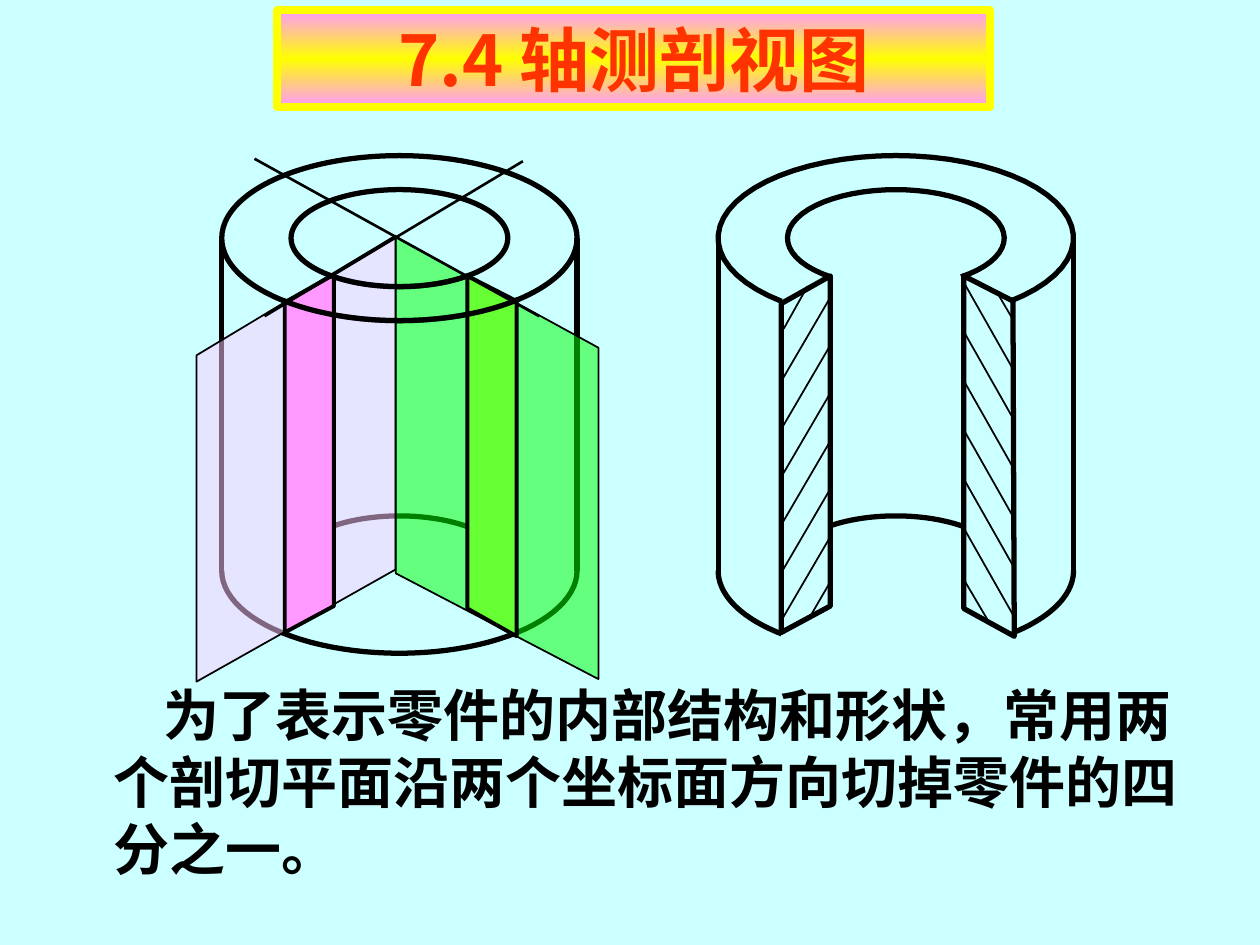
from math import cos, radians, sin

from lxml import etree
from pptx import Presentation
from pptx.dml.color import RGBColor
from pptx.enum.shapes import MSO_CONNECTOR, MSO_SHAPE
from pptx.enum.text import MSO_ANCHOR, PP_ALIGN
from pptx.oxml.ns import qn
from pptx.util import Inches, Pt

STRAIGHT = MSO_CONNECTOR.STRAIGHT
OVAL = MSO_SHAPE.OVAL
RECTANGLE = MSO_SHAPE.RECTANGLE
CENTER = PP_ALIGN.CENTER
MIDDLE = MSO_ANCHOR.MIDDLE
FONT = "Noto Sans CJK SC"
COLORS = {
    "background": "CCFFFF", "ink": "000000", "title": "FF3300",
    "yellow": "FFFF00", "pink": "FF99FF", "left plane": "FFCCFF",
    "right plane": "00FF00", "right cut": "66FF33",
}
RGB = {name: RGBColor.from_string(value) for name, value in COLORS.items()}


def arc(center, radii, start, end):
    angles = [radians(start + (end - start) * step / 48) for step in range(49)]
    return [(center[0] + radii[0] * cos(a), center[1] + radii[1] * sin(a)) for a in angles]


def draw(points, weight, fill=None, alpha=None, close=False):
    corners = [(Inches(x), Inches(y)) for x, y in points]
    builder = page.shapes.build_freeform(*corners[0])
    builder.add_line_segments(corners[1:], close=close)
    outline = builder.convert_to_shape()
    outline.shadow.inherit = False
    outline.line.color.rgb = RGB["ink"]
    outline.line.width = Pt(weight)
    if fill is None:
        outline.fill.background()
    else:
        outline.fill.solid()
        outline.fill.fore_color.rgb = RGB[fill]
    if alpha:
        color = outline._element.spPr.find(qn("a:solidFill"))[0]
        etree.SubElement(color, qn("a:alpha"), val=str(alpha * 1000))


deck = Presentation()
deck.slide_width, deck.slide_height = Inches(10), Inches(7.5)
page = deck.slides.add_slide(deck.slide_layouts[6])
page.background.fill.solid()
page.background.fill.fore_color.rgb = RGB["background"]

OUTER, INNER = (1.41, 0.655), (0.86, 0.385)
LEFT_X, RIGHT_X = 3.17, 7.11
TOP_Y, BASE_Y, INNER_BASE_Y = 1.89, 4.53, 4.48

lines = [(x + side * OUTER[0], TOP_Y, x + side * OUTER[0], BASE_Y, 3)
         for x in (LEFT_X, RIGHT_X) for side in (-1, 1)]
for row in range(6):
    left_y, right_y = 2.36 + 0.38 * row, 2.26 + 0.39 * row
    lines.append((6.59, left_y, 6.21, left_y + 0.65, 1))
    lines.append((7.66, right_y, 8.04, right_y + 0.67, 1))
lines += [(6.22, 2.61, 6.41, 2.27, 1), (6.6, 4.6, 6.42, 4.91, 1),
          (8.03, 2.52, 7.93, 2.35, 1), (7.65, 4.6, 7.85, 4.94, 1)]
for x1, y1, x2, y2, weight in lines:
    line = page.shapes.add_connector(STRAIGHT, Inches(x1), Inches(y1), Inches(x2), Inches(y2))
    line.line.color.rgb = RGB["ink"]
    line.line.width = Pt(weight)
    etree.SubElement(line._element.spPr, qn("a:effectLst"))

for rx, ry in (INNER, OUTER):
    ring = page.shapes.add_shape(OVAL, Inches(LEFT_X - rx), Inches(TOP_Y - ry),
                                 Inches(2 * rx), Inches(2 * ry))
    ring.shadow.inherit = False
    ring.fill.background()
    ring.line.color.rgb = RGB["ink"]
    ring.line.width = Pt(3)

for center, radii, start, end in [
    ((LEFT_X, BASE_Y), OUTER, 180, 0),
    ((RIGHT_X, TOP_Y), OUTER, 130, 410),
    ((RIGHT_X, TOP_Y), INNER, 127, 413),
    ((RIGHT_X, BASE_Y), OUTER, 180, 130),
    ((RIGHT_X, BASE_Y), OUTER, 0, 48),
    ((RIGHT_X, INNER_BASE_Y), INNER, 232, 309),
    ((LEFT_X, INNER_BASE_Y), INNER, 231, 309),
]:
    draw(arc(center, radii, start, end), 3)

draw([(6.59, 2.19), (6.59, 4.81), (6.2, 5.02), (6.2, 2.41)], 3, close=True)
draw([(7.65, 2.19), (7.65, 4.83), (8.05, 5.05), (8.04, 2.39)], 3, close=True)

draw([(3.14, 1.87), (3.14, 4.52), (1.56, 5.41), (1.56, 2.82)], 1, "left plane", 50, True)
draw([(2.65, 2.18), (2.65, 4.81), (2.26, 5.02), (2.26, 2.4)], 2.25, "pink", close=True)
draw([(3.14, 1.88), (3.14, 4.55), (4.75, 5.39), (4.75, 2.76)], 1, "right plane", 50, True)
draw([(3.71, 2.19), (3.71, 4.83), (4.1, 5.05), (4.1, 2.39)], 2.25, "right cut", close=True)
draw(arc((LEFT_X, TOP_Y), INNER, 129, 50), 3)
draw(arc((LEFT_X, TOP_Y), OUTER, 131, 48), 3)
draw([(2.02, 1.26), (4.28, 2.51)], 1.5)
draw([(4.15, 1.28), (2.1, 2.51)], 1.5)

title = page.shapes.add_shape(RECTANGLE, Inches(2.2), Inches(0.08), Inches(5.66), Inches(0.77))
title.shadow.inherit = False
title.line.color.rgb = RGB["yellow"]
title.line.width = Pt(4.5)
title.fill.gradient()
title.fill.gradient_angle = 270
stops = title._element.spPr.find(qn("a:gradFill")).find(qn("a:gsLst"))
for stop in list(stops):
    stops.remove(stop)
for position, name in ((0, "pink"), (50, "yellow"), (100, "pink")):
    stop = etree.SubElement(stops, qn("a:gs"), pos=str(position * 1000))
    etree.SubElement(stop, qn("a:srgbClr"), val=COLORS[name])

body = page.shapes.add_textbox(Inches(0.8), Inches(5.35), Inches(8.8), Inches(1.7))
for box, text, size, color in [
    (title, "7.4 轴测剖视图", 40, "title"),
    (body, "为了表示零件的内部结构和形状，常用两个剖切平面沿两个坐标面方向切掉零件的四分之一。", 32, "ink"),
]:
    frame = box.text_frame
    frame.word_wrap = True
    frame.vertical_anchor = MIDDLE
    para = frame.paragraphs[0]
    para.text = text
    para.line_spacing = Pt(size * 1.2)
    para.font.name = FONT
    para.font.size = Pt(size)
    para.font.bold = True
    para.font.color.rgb = RGB[color]
    etree.SubElement(para.font._element, qn("a:ea"), typeface=FONT)
title.text_frame.paragraphs[0].alignment = CENTER
body.text_frame.paragraphs[0]._p.get_or_add_pPr().set("indent", str(Inches(0.4)))

deck.save("out.pptx")
